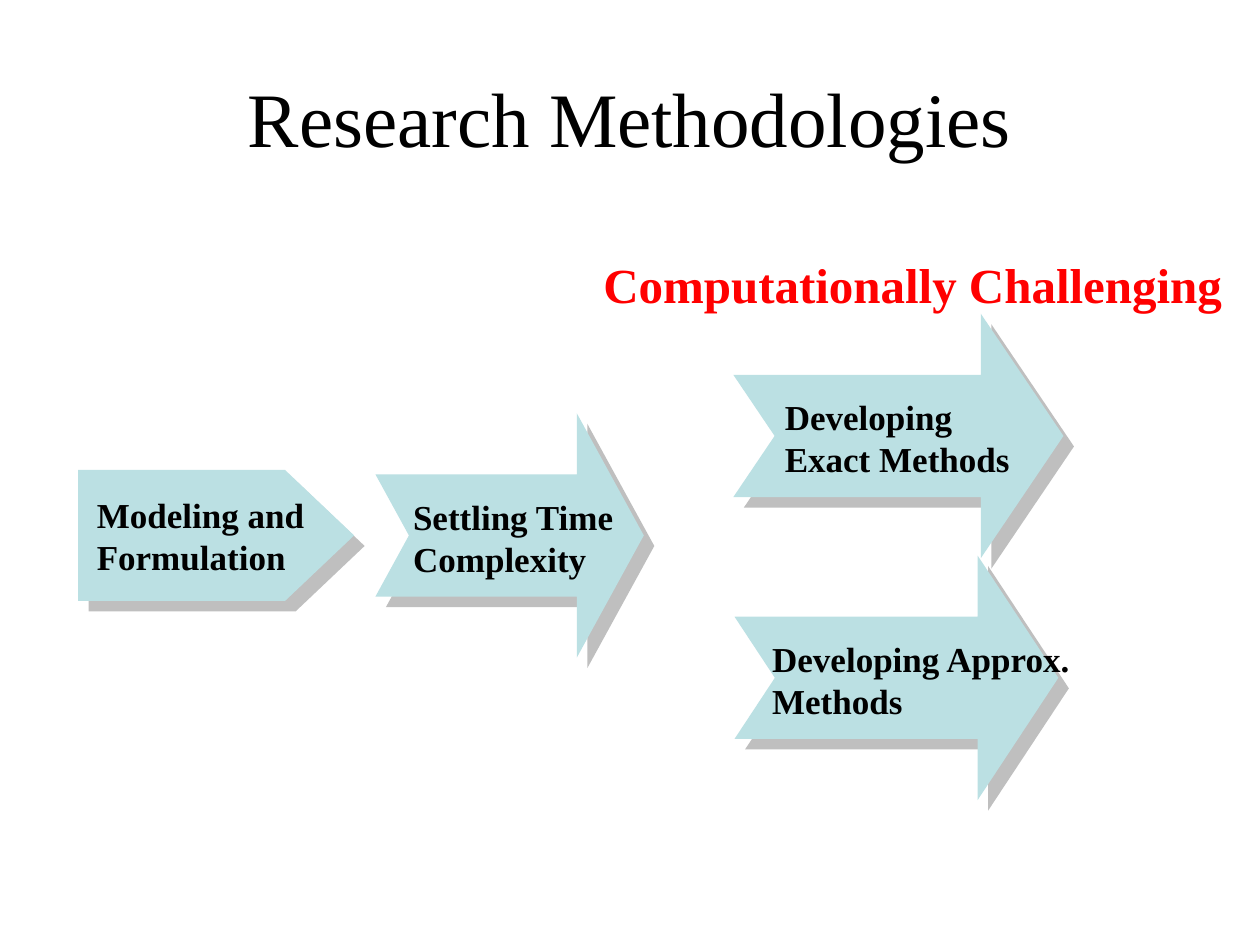
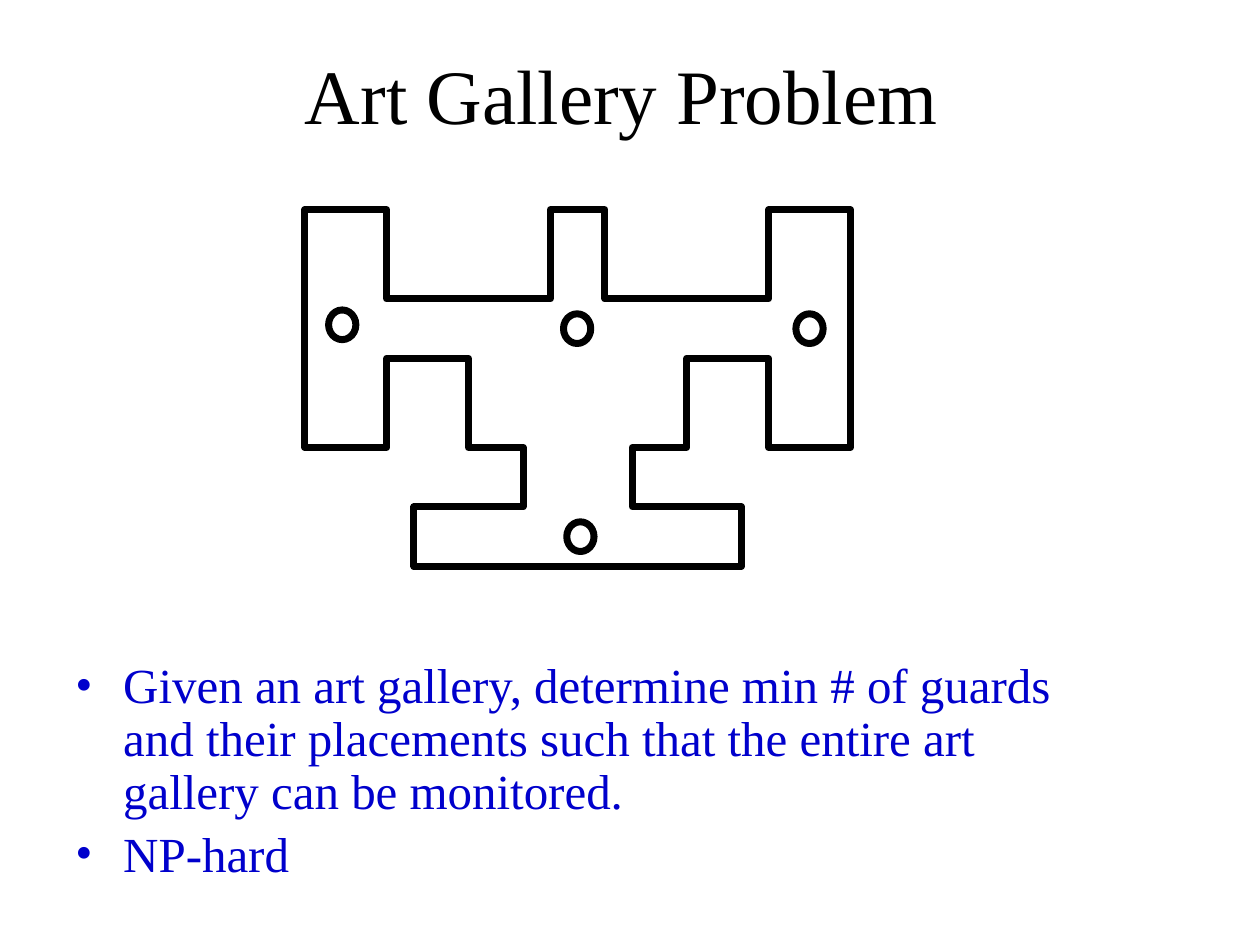
from dataclasses import dataclass

from lxml import etree
from pptx import Presentation
from pptx.dml.color import RGBColor
from pptx.enum.shapes import MSO_SHAPE as Preset
from pptx.enum.text import MSO_ANCHOR as Anchor, MSO_AUTO_SIZE as AutoSize, PP_ALIGN as Align
from pptx.oxml.ns import qn
from pptx.util import Inches, Pt

COLUMNS, ROWS = 100, 75
SLIDE_WIDTH, SLIDE_HEIGHT = Inches(10), Inches(7.5)


@dataclass(frozen=True)
class Theme:
    font: str = "Times New Roman"
    ink: str = "000000"
    arrow: str = "BBE0E3"
    shadow: str = "808080"
    warning: str = "FF0000"
    bullets: str = "0000CC"
    title_size: int = 44
    body_size: int = 28
    step_size: int = 20
    wall_width: int = 4


@dataclass(frozen=True)
class Box:
    left: float
    top: float
    width: float
    height: float

    def inner(self, left, top, width, height):
        return Box(self.left + left, self.top + top, width, height)

    def cell(self, columns, rows, column, row):
        width, height = self.width / columns, self.height / rows
        return self.inner(column * width, row * height, width, height)

    def emu(self):
        across, down = SLIDE_WIDTH / COLUMNS, SLIDE_HEIGHT / ROWS
        return [round(length * unit) for length, unit in
                zip((self.left, self.top, self.width, self.height), (across, down) * 2)]


THEME = Theme()


def style(paragraph, size, color, bold=False):
    font = paragraph.font
    font.name, font.size, font.bold = THEME.font, Pt(size), bold
    font.color.rgb = RGBColor.from_string(color)


def add_text(shapes, box, lines, size, color, bold=False, wrap=False):
    frame = shapes.add_textbox(*box.emu()).text_frame
    frame.word_wrap = wrap
    frame.auto_size = AutoSize.NONE if wrap else AutoSize.SHAPE_TO_FIT_TEXT
    frame.text = "\n".join(lines)
    for paragraph in frame.paragraphs:
        style(paragraph, size, color, bold)
    return frame


def add_title(slide, box, title):
    frame = add_text(slide.shapes, box, [title], THEME.title_size, THEME.ink, wrap=True)
    frame.vertical_anchor = Anchor.MIDDLE
    frame.paragraphs[0].alignment = Align.CENTER


def cast_shadow(shape):
    shape.shadow.inherit = False
    effects = shape.element.spPr.find(qn("a:effectLst"))
    shadow = etree.SubElement(effects, qn("a:outerShdw"), dist=str(Pt(8.5)),
                              dir=str(45 * 60000), algn="ctr", rotWithShape="0")
    color = etree.SubElement(shadow, qn("a:srgbClr"), val=THEME.shadow)
    etree.SubElement(color, qn("a:alpha"), val="50000")


def add_step(slide, box, preset, adjustments, label, lines):
    step = slide.shapes.add_group_shape().shapes
    arrow = step.add_shape(preset, *box.emu())
    for index, value in enumerate(adjustments):
        arrow.adjustments[index] = value
    arrow.fill.solid()
    arrow.fill.fore_color.rgb = RGBColor.from_string(THEME.arrow)
    arrow.line.fill.background()
    cast_shadow(arrow)
    add_text(step, box.inner(*label), lines, THEME.step_size, THEME.ink, bold=True)


def outline(shape):
    shape.fill.background()
    shape.line.color.rgb = RGBColor.from_string(THEME.ink)
    shape.line.width = Pt(THEME.wall_width)
    shape.shadow.inherit = False
    etree.SubElement(shape.element.spPr.find(qn("a:ln")), qn("a:round"))


def add_gallery(slide, box):
    columns, rows = 20, 12
    left_wall = [(9, 0), (9, 3), (3, 3), (3, 0), (0, 0), (0, 8), (3, 8),
                 (3, 5), (6, 5), (6, 8), (8, 8), (8, 10), (4, 10), (4, 12)]
    right_wall = [(columns - column, row) for column, row in reversed(left_wall)]
    guards = [(9.6, 10.5), (9.48, 3.5), (0.87, 3.37), (18, 3.5)]

    gallery = slide.shapes.add_group_shape().shapes
    start, *corners = [box.cell(columns, rows, *corner).emu()[:2]
                       for corner in left_wall + right_wall]
    walls = gallery.build_freeform(*start)
    walls.add_line_segments(corners, close=True)
    outline(walls.convert_to_shape())
    for guard in guards:
        outline(gallery.add_shape(Preset.OVAL, *box.cell(columns, rows, *guard).emu()))


def add_bullets(slide, box, points):
    frame = add_text(slide.shapes, box, points, THEME.body_size, THEME.bullets, wrap=True)
    for index, paragraph in enumerate(frame.paragraphs):
        properties = paragraph._p.get_or_add_pPr()
        properties.set("marL", str(Inches(0.38)))
        properties.set("indent", str(-Inches(0.38)))
        properties.insert(0, etree.Element(qn("a:buFont"), typeface=THEME.font))
        properties.insert(1, etree.Element(qn("a:buChar"), char="•"))
        paragraph.line_spacing = 0.9
        paragraph.space_before = Pt(0.2 * THEME.body_size if index else 0)


def methodologies_slide(slide):
    add_title(slide, Box(5, 3, 90, 12.5), "Research Methodologies")
    notched = Preset.NOTCHED_RIGHT_ARROW
    steps = [
        (Box(6.2, 37.3, 21.9, 10.4), Preset.PENTAGON, [0.527],
         (0.5, 1.4, 19.3, 7.7), ["Modeling and", "Formulation"]),
        (Box(29.8, 32.8, 21.3, 19.4), notched, [0.5, 0.274],
         (2, 6, 18.3, 7.7), ["Settling Time", "Complexity"]),
        (Box(58.2, 24.9, 26.2, 19.4), notched, [0.5, 0.338],
         (3.1, 6, 20.5, 7.7), ["Developing", "Exact Methods"]),
        (Box(58.3, 44.1, 25.7, 19.4), notched, [0.5, 0.33],
         (2, 6, 26, 7.7), ["Developing Approx.", "Methods"]),
    ]
    for step in steps:
        add_step(slide, *step)
    add_text(slide.shapes, Box(46.9, 19.7, 51.4, 5.7), ["Computationally Challenging"],
             THEME.body_size, THEME.warning, bold=True)


def gallery_slide(slide):
    add_title(slide, Box(7.5, 3.3, 85.2, 8.3), "Art Gallery Problem ")
    add_bullets(slide, Box(5, 52, 85, 20.5), [
        "Given an art gallery, determine min # of guards and their placements "
        "such that the entire art gallery can be monitored.",
        "NP-hard",
    ])
    add_gallery(slide, Box(24.2, 16.65, 43.3, 28.3))


def main():
    deck = Presentation()
    deck.slide_width, deck.slide_height = SLIDE_WIDTH, SLIDE_HEIGHT
    blank = deck.slide_layouts[6]
    for build in (methodologies_slide, gallery_slide):
        build(deck.slides.add_slide(blank))
    deck.save("out.pptx")


if __name__ == "__main__":
    main()
